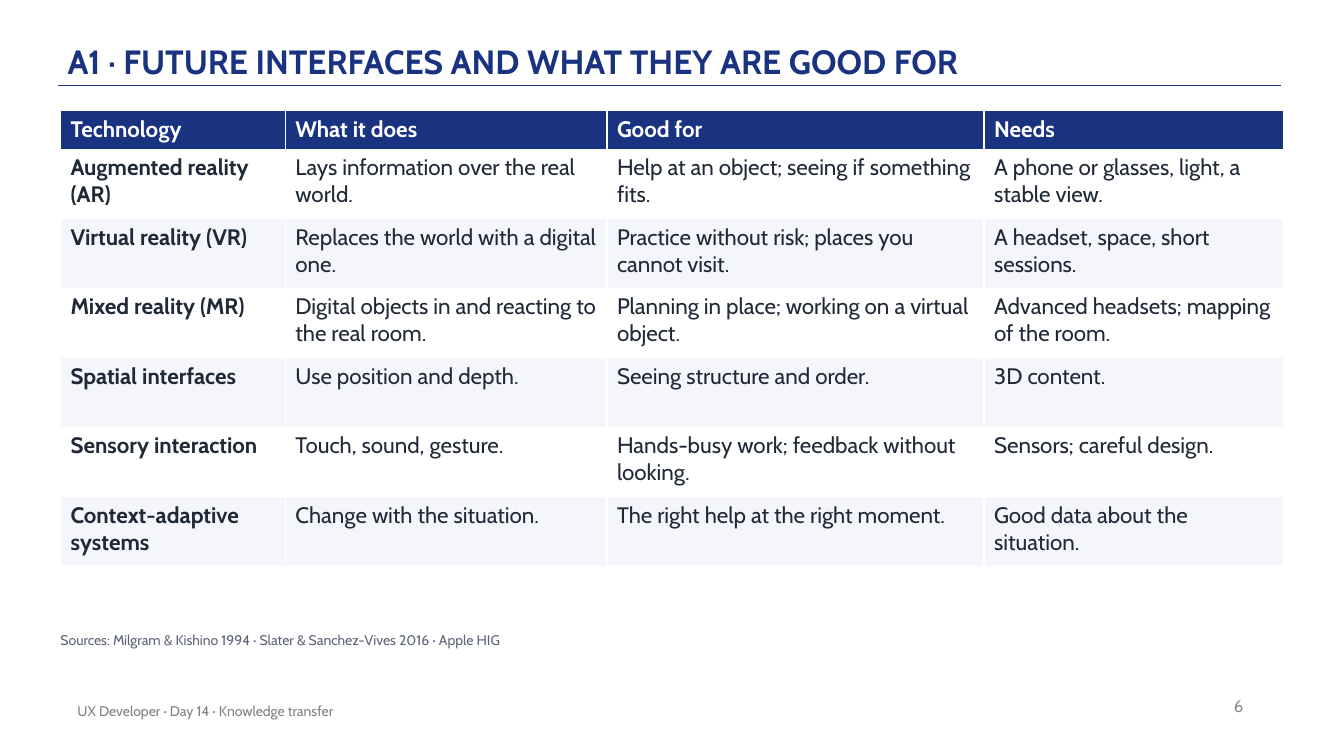
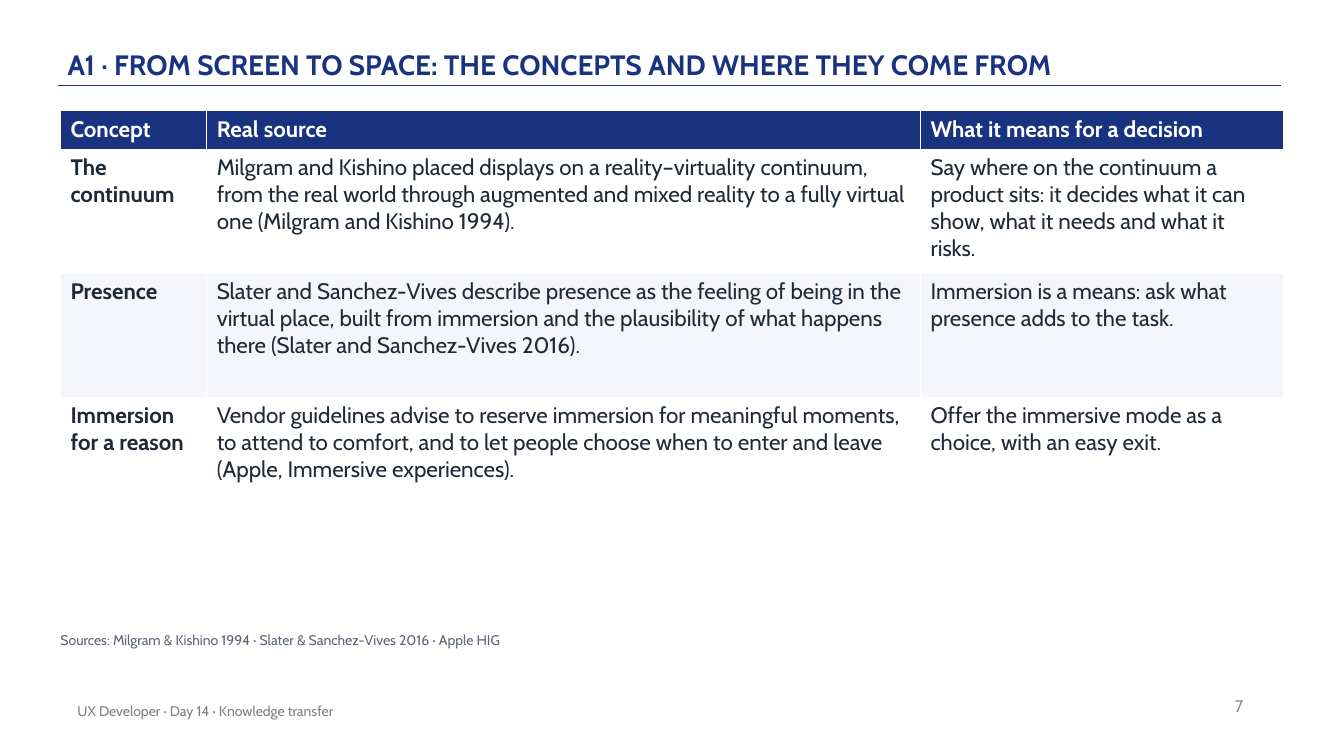
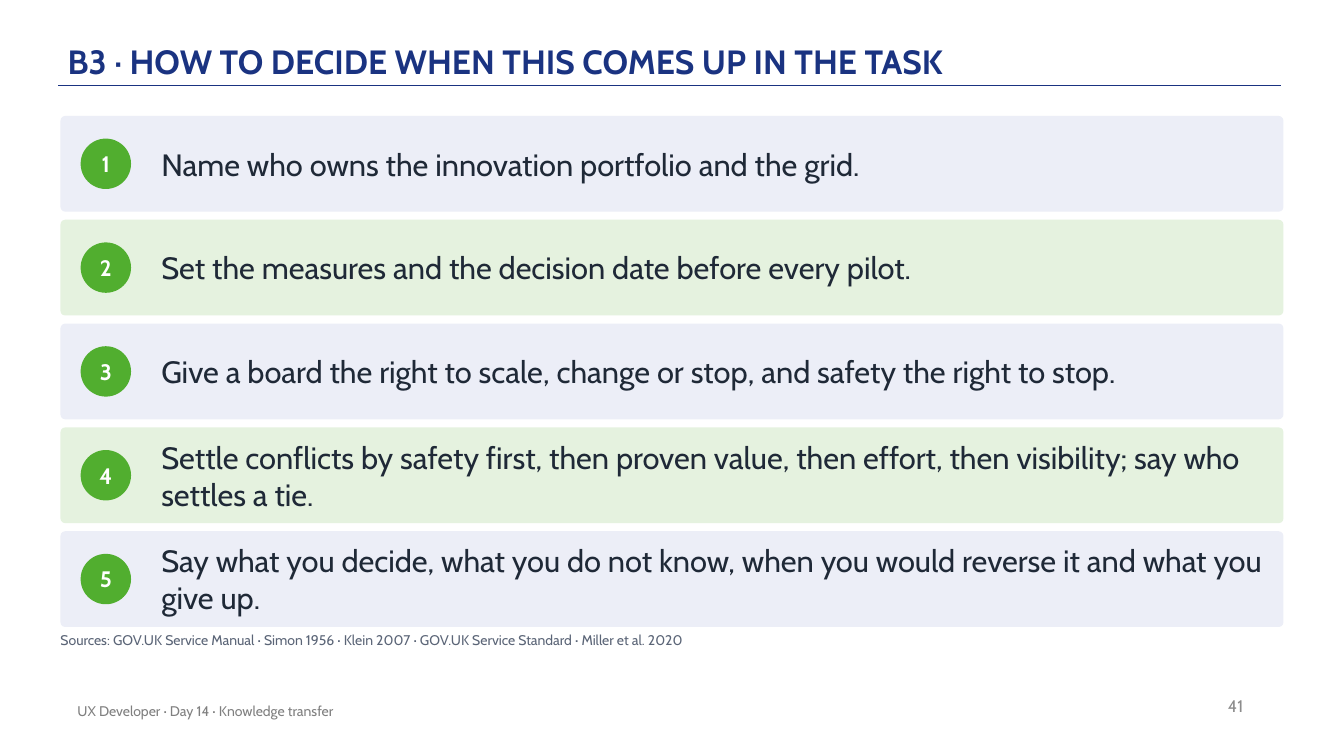
from dataclasses import dataclass

from pptx import Presentation
from pptx.dml.color import RGBColor
from pptx.enum.shapes import MSO_CONNECTOR, MSO_SHAPE
from pptx.enum.text import MSO_ANCHOR, MSO_AUTO_SIZE, PP_ALIGN
from pptx.oxml import parse_xml
from pptx.oxml.ns import nsdecls
from pptx.util import Inches, Pt

LEFT, CENTER, RIGHT = PP_ALIGN.LEFT, PP_ALIGN.CENTER, PP_ALIGN.RIGHT
TOP, MIDDLE, BOTTOM = MSO_ANCHOR.TOP, MSO_ANCHOR.MIDDLE, MSO_ANCHOR.BOTTOM
NO_AUTOFIT = MSO_AUTO_SIZE.NONE
ROUNDED, OVAL = MSO_SHAPE.ROUNDED_RECTANGLE, MSO_SHAPE.OVAL
STRAIGHT = MSO_CONNECTOR.STRAIGHT
TITLE_ONLY = 5

FOOTER = "UX Developer · Day 14 · Knowledge transfer"
INTERFACE_SOURCES = "Sources: Milgram & Kishino 1994 · Slater & Sanchez-Vives 2016 · Apple HIG"
DECISION_SOURCES = (
    "Sources: GOV.UK Service Manual · Simon 1956 · Klein 2007 · "
    "GOV.UK Service Standard · Miller et al. 2020"
)

TECHNOLOGIES = [
    ("Technology", "What it does", "Good for", "Needs"),
    ("Augmented reality (AR)", "Lays information over the real world.",
     "Help at an object; seeing if something fits.",
     "A phone or glasses, light, a stable view."),
    ("Virtual reality (VR)", "Replaces the world with a digital one.",
     "Practice without risk; places you cannot visit.",
     "A headset, space, short sessions."),
    ("Mixed reality (MR)", "Digital objects in and reacting to the real room.",
     "Planning in place; working on a virtual object.",
     "Advanced headsets; mapping of the room."),
    ("Spatial interfaces", "Use position and depth.",
     "Seeing structure and order.", "3D content."),
    ("Sensory interaction", "Touch, sound, gesture.",
     "Hands-busy work; feedback without looking.",
     "Sensors; careful design."),
    ("Context-adaptive systems", "Change with the situation.",
     "The right help at the right moment.",
     "Good data about the situation."),
]

CONCEPTS = [
    ("Concept", "Real source", "What it means for a decision"),
    ("The continuum",
     "Milgram and Kishino placed displays on a reality–virtuality continuum, "
     "from the real world through augmented and mixed reality to a fully "
     "virtual one (Milgram and Kishino 1994).",
     "Say where on the continuum a product sits: it decides what it can show, "
     "what it needs and what it risks."),
    ("Presence",
     "Slater and Sanchez-Vives describe presence as the feeling of being in "
     "the virtual place, built from immersion and the plausibility of what "
     "happens there (Slater and Sanchez-Vives 2016).",
     "Immersion is a means: ask what presence adds to the task."),
    ("Immersion for a reason",
     "Vendor guidelines advise to reserve immersion for meaningful moments, "
     "to attend to comfort, and to let people choose when to enter and leave "
     "(Apple, Immersive experiences).",
     "Offer the immersive mode as a choice, with an easy exit."),
]

DECISION_STEPS = [
    "Name who owns the innovation portfolio and the grid.",
    "Set the measures and the decision date before every pilot.",
    "Give a board the right to scale, change or stop, and safety the right to stop.",
    "Settle conflicts by safety first, then proven value, then effort, "
    "then visibility; say who settles a tie.",
    "Say what you decide, what you do not know, when you would reverse it "
    "and what you give up.",
]


@dataclass(frozen=True)
class Theme:
    font: str = "Cabin"
    navy: str = "1A3381"
    ink: str = "1F2937"
    white: str = "FFFFFF"
    row_tint: str = "F4F6FB"
    blue_tint: str = "ECEEF7"
    green_tint: str = "E5F2DF"
    green: str = "51AE2F"
    source_gray: str = "5B6577"
    footer_gray: str = "808080"
    number_gray: str = "8C8C8C"
    title_size: int = 24
    long_title_size: int = 20
    step_size: int = 22
    table_size: int = 16
    number_size: int = 12
    small_size: int = 10


THEME = Theme()


def write_text(frame, text, *, size, color, bold=False, align=LEFT, anchor=TOP,
               margins=None, line_spacing=None, space_after=None):
    frame.word_wrap = True
    frame.auto_size = NO_AUTOFIT
    frame.vertical_anchor = anchor
    if margins is not None:
        horizontal, vertical = margins
        frame.margin_left = frame.margin_right = Inches(horizontal)
        frame.margin_top = frame.margin_bottom = Inches(vertical)
    paragraph = frame.paragraphs[0]
    paragraph.alignment = align
    if line_spacing is not None:
        paragraph.line_spacing = line_spacing
    if space_after is not None:
        paragraph.space_after = Pt(space_after)
    run = paragraph.add_run()
    run.text = text
    run.font.name = THEME.font
    run.font.size = Pt(size)
    run.font.bold = bold
    run.font.color.rgb = RGBColor.from_string(color)


def paint(target, color):
    target.fill.solid()
    target.fill.fore_color.rgb = RGBColor.from_string(color)


class Deck:
    """Hold the presentation style and draw on the current slide."""

    def __init__(self, theme):
        self.theme = theme
        self.presentation = Presentation()
        self.presentation.slide_width = Inches(13.33)
        self.presentation.slide_height = Inches(7.5)
        self.slide = None

    def new_slide(self, title, number, sources, title_size=None):
        theme = self.theme
        layout = self.presentation.slide_layouts[TITLE_ONLY]
        self.slide = self.presentation.slides.add_slide(layout)
        self.rule(0.58, 12.71, 0.85)
        self.title(title, title_size or theme.title_size)
        self.text(str(number), 9.43, 6.8, 3, 0.4, size=theme.number_size,
                  color=theme.number_gray, align=RIGHT, anchor=MIDDLE)
        self.text(FOOTER, 0.67, 6.85, 6.7, 0.4, size=theme.small_size,
                  color=theme.footer_gray, anchor=MIDDLE)
        self.text(sources, 0.6, 6.27, 12.1, 0.3, size=theme.small_size,
                  color=theme.source_gray, margins=(0, 0), space_after=6)

    def rule(self, start, end, y):
        line = self.slide.shapes.add_connector(
            STRAIGHT, Inches(start), Inches(y), Inches(end), Inches(y))
        line.line.color.rgb = RGBColor.from_string(self.theme.navy)
        line.line.width = Pt(1)
        line._element.spPr.append(parse_xml(f"<a:effectLst {nsdecls('a')}/>"))

    def title(self, text, size):
        heading = self.slide.shapes.title
        heading.left, heading.top = Inches(0.67), Inches(0.12)
        heading.width, heading.height = Inches(11), Inches(0.72)
        write_text(heading.text_frame, text, size=size, color=self.theme.navy,
                   bold=True, anchor=BOTTOM, margins=(0, 0.03), line_spacing=0.9)

    def text(self, text, left, top, width, height, **text_format):
        box = self.slide.shapes.add_textbox(
            Inches(left), Inches(top), Inches(width), Inches(height))
        write_text(box.text_frame, text, **text_format)

    def shape(self, kind, left, top, width, height, color):
        figure = self.slide.shapes.add_shape(
            kind, Inches(left), Inches(top), Inches(width), Inches(height))
        figure.shadow.inherit = False
        figure.line.fill.background()
        paint(figure, color)
        return figure

    def table(self, rows, widths, heights):
        theme = self.theme
        grid = self.slide.shapes.add_table(
            len(rows), len(widths), Inches(0.6), Inches(1.1),
            Inches(sum(widths)), Inches(sum(heights))).table
        grid.horz_banding = False
        for column, width in zip(grid.columns, widths):
            column.width = Inches(width)
        for row, height in zip(grid.rows, heights):
            row.height = Inches(height)
        for r, entries in enumerate(rows):
            header = r == 0
            band = theme.white if r % 2 else theme.row_tint
            for c, entry in enumerate(entries):
                cell = grid.cell(r, c)
                paint(cell, theme.navy if header else band)
                write_text(cell.text_frame, entry, size=theme.table_size,
                           color=theme.white if header else theme.ink,
                           bold=header or c == 0)

    def steps(self, entries, top=1.15, pitch=1.03, height=0.95, badge=0.5):
        theme = self.theme
        tints = (theme.blue_tint, theme.green_tint)
        for index, entry in enumerate(entries):
            y = top + index * pitch
            band = self.shape(ROUNDED, 0.6, y, 12.13, height, tints[index % 2])
            band.adjustments[0] = 0.05
            marker = self.shape(OVAL, 0.8, y + (height - badge) / 2,
                                badge, badge, theme.green)
            write_text(marker.text_frame, str(index + 1), size=theme.table_size,
                       color=theme.white, bold=True, align=CENTER,
                       anchor=MIDDLE, margins=(0, 0))
            self.text(entry, 1.6, y, 10.93, height, size=theme.step_size,
                      color=theme.ink, anchor=MIDDLE, margins=(0, 0))


def main():
    deck = Deck(THEME)

    deck.new_slide("A1 · FUTURE INTERFACES AND WHAT THEY ARE GOOD FOR",
                   6, INTERFACE_SOURCES)
    deck.table(TECHNOLOGIES, [2.23, 3.19, 3.74, 2.97], [0.38] + [0.69] * 6)

    deck.new_slide("A1 · FROM SCREEN TO SPACE: THE CONCEPTS AND WHERE THEY COME FROM",
                   7, INTERFACE_SOURCES, THEME.long_title_size)
    deck.table(CONCEPTS, [1.45, 7.08, 3.6], [0.38, 1.23, 1.23, 0.96])

    deck.new_slide("B3 · HOW TO DECIDE WHEN THIS COMES UP IN THE TASK",
                   41, DECISION_SOURCES)
    deck.steps(DECISION_STEPS)

    deck.presentation.save("out.pptx")


if __name__ == "__main__":
    main()
